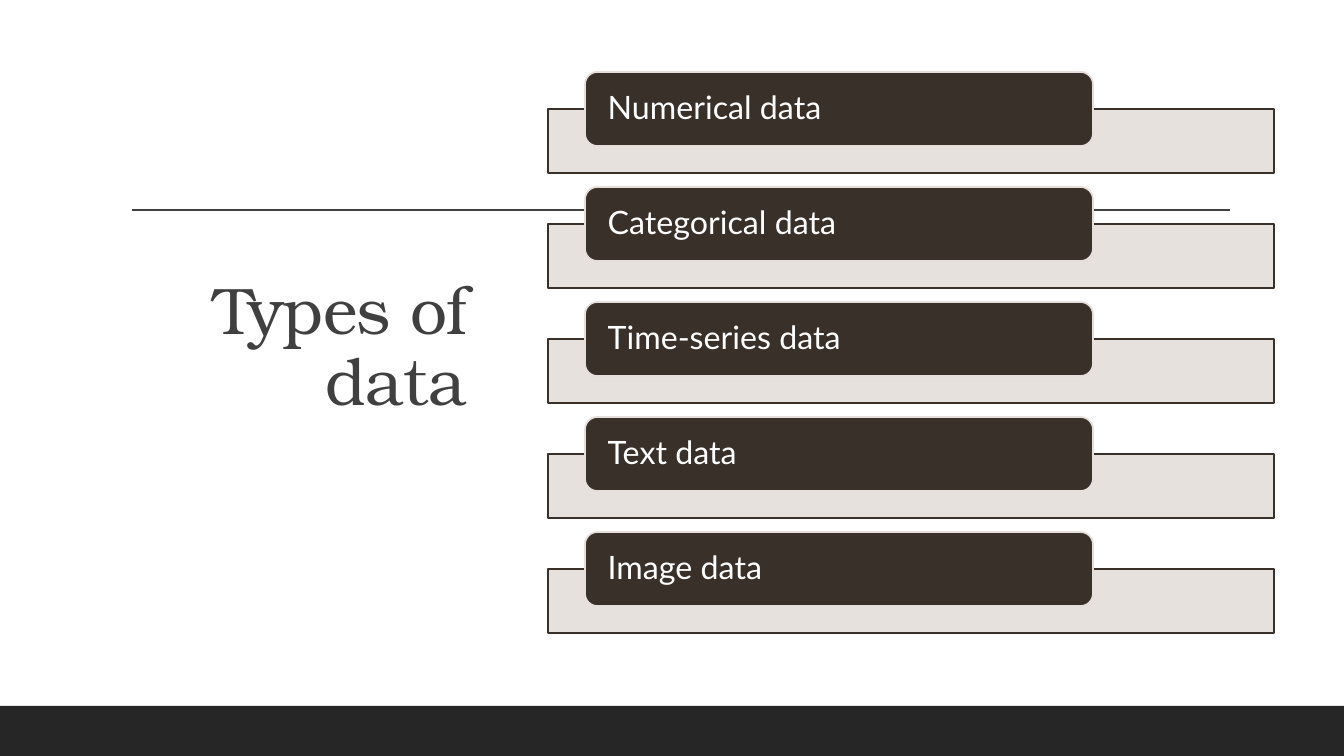
"""Build the slide "Types of data" with a stack of five labelled bars."""
import dataclasses

import pptx
import pptx.dml.color
import pptx.enum.shapes
import pptx.enum.text
import pptx.oxml
import pptx.oxml.ns
import pptx.util

TITLE = "Types of data"
DATA_TYPES = [
    "Numerical data",
    "Categorical data",
    "Time-series data",
    "Text data",
    "Image data",
]

SLIDE_SIZE = (1344, 756)
FOOTER_BOX = (0, 706, 1344, 50)
RULE_ENDS = (132, 210, 1230, 210)
TITLE_BOX = (71, 70, 406, 557)
BAR_BOX = (548, 109, 726, 64)
LABEL_BOX = (585, 72, 508, 74)
ROW_PITCH = 115
LABEL_INSET = 19
EMU_PER_PX = 12192000 / 1344


@dataclasses.dataclass(frozen=True)
class Theme:
    footer: str = "262626"
    ink: str = "404040"
    dark: str = "39302A"
    pale: str = "E5DEDB"
    white: str = "FFFFFF"
    title_font: str = "TeX Gyre Bonum"
    body_font: str = "Lato"
    title_size: int = 47
    body_size: int = 23
    outline: float = 1.25
    rule: float = 1
    bar_opacity: int = 90


THEME = Theme()
SHAPES = pptx.enum.shapes.MSO_SHAPE
ALIGN = pptx.enum.text.PP_ALIGN


def px(length):
    return pptx.util.Emu(round(length * EMU_PER_PX))


def rgb(color):
    return pptx.dml.color.RGBColor.from_string(color)


def add_box(slide, kind, box, fill, line=None):
    shape = slide.shapes.add_shape(kind, *map(px, box))
    shape.shadow.inherit = False
    shape.fill.solid()
    shape.fill.fore_color.rgb = rgb(fill)
    if line:
        shape.line.color.rgb = rgb(line)
        shape.line.width = pptx.util.Pt(THEME.outline)
    else:
        shape.line.fill.background()
    return shape


def set_opacity(shape, percent):
    color = shape.fill._xPr.find(".//" + pptx.oxml.ns.qn("a:srgbClr"))
    alpha = pptx.oxml.parse_xml(
        f'<a:alpha {pptx.oxml.ns.nsdecls("a")} val="{percent * 1000}"/>'
    )
    color.append(alpha)


def write_text(shape, text, font, size, color, alignment):
    frame = shape.text_frame
    frame.text = text
    frame.word_wrap = True
    frame.auto_size = pptx.enum.text.MSO_AUTO_SIZE.NONE
    frame.vertical_anchor = pptx.enum.text.MSO_ANCHOR.MIDDLE
    paragraph = frame.paragraphs[0]
    paragraph.alignment = alignment
    paragraph.line_spacing = 0.9
    paragraph.font.name = font
    paragraph.font.size = pptx.util.Pt(size)
    paragraph.font.color.rgb = rgb(color)
    return frame


def add_rule(slide):
    rule = slide.shapes.add_connector(
        pptx.enum.shapes.MSO_CONNECTOR.STRAIGHT, *map(px, RULE_ENDS)
    )
    rule.line.color.rgb = rgb(THEME.ink)
    rule.line.width = pptx.util.Pt(THEME.rule)
    effects = pptx.oxml.parse_xml(f'<a:effectLst {pptx.oxml.ns.nsdecls("a")}/>')
    rule._element.spPr.append(effects)


def place_title(slide):
    title = slide.shapes.title
    title.left, title.top, title.width, title.height = map(px, TITLE_BOX)
    frame = write_text(
        title, TITLE, THEME.title_font, THEME.title_size, THEME.ink, ALIGN.RIGHT
    )
    frame.paragraphs[0].runs[0]._r.get_or_add_rPr().set("spc", "-50")


def add_data_type(slide, row, name):
    bar_box, label_box = (
        (left, top + row * ROW_PITCH, width, height)
        for left, top, width, height in (BAR_BOX, LABEL_BOX)
    )
    bar = add_box(slide, SHAPES.RECTANGLE, bar_box, THEME.pale, THEME.dark)
    set_opacity(bar, THEME.bar_opacity)
    label = add_box(
        slide, SHAPES.ROUNDED_RECTANGLE, label_box, THEME.dark, THEME.pale
    )
    frame = write_text(
        label, name, THEME.body_font, THEME.body_size, THEME.white, ALIGN.LEFT
    )
    frame.margin_left = frame.margin_right = px(LABEL_INSET)
    frame.margin_top = frame.margin_bottom = 0


def main():
    presentation = pptx.Presentation()
    presentation.slide_width, presentation.slide_height = map(px, SLIDE_SIZE)
    slide = presentation.slides.add_slide(presentation.slide_layouts[5])
    add_box(slide, SHAPES.RECTANGLE, FOOTER_BOX, THEME.footer)
    add_rule(slide)
    place_title(slide)
    for row, name in enumerate(DATA_TYPES):
        add_data_type(slide, row, name)
    presentation.save("out.pptx")


if __name__ == "__main__":
    main()
